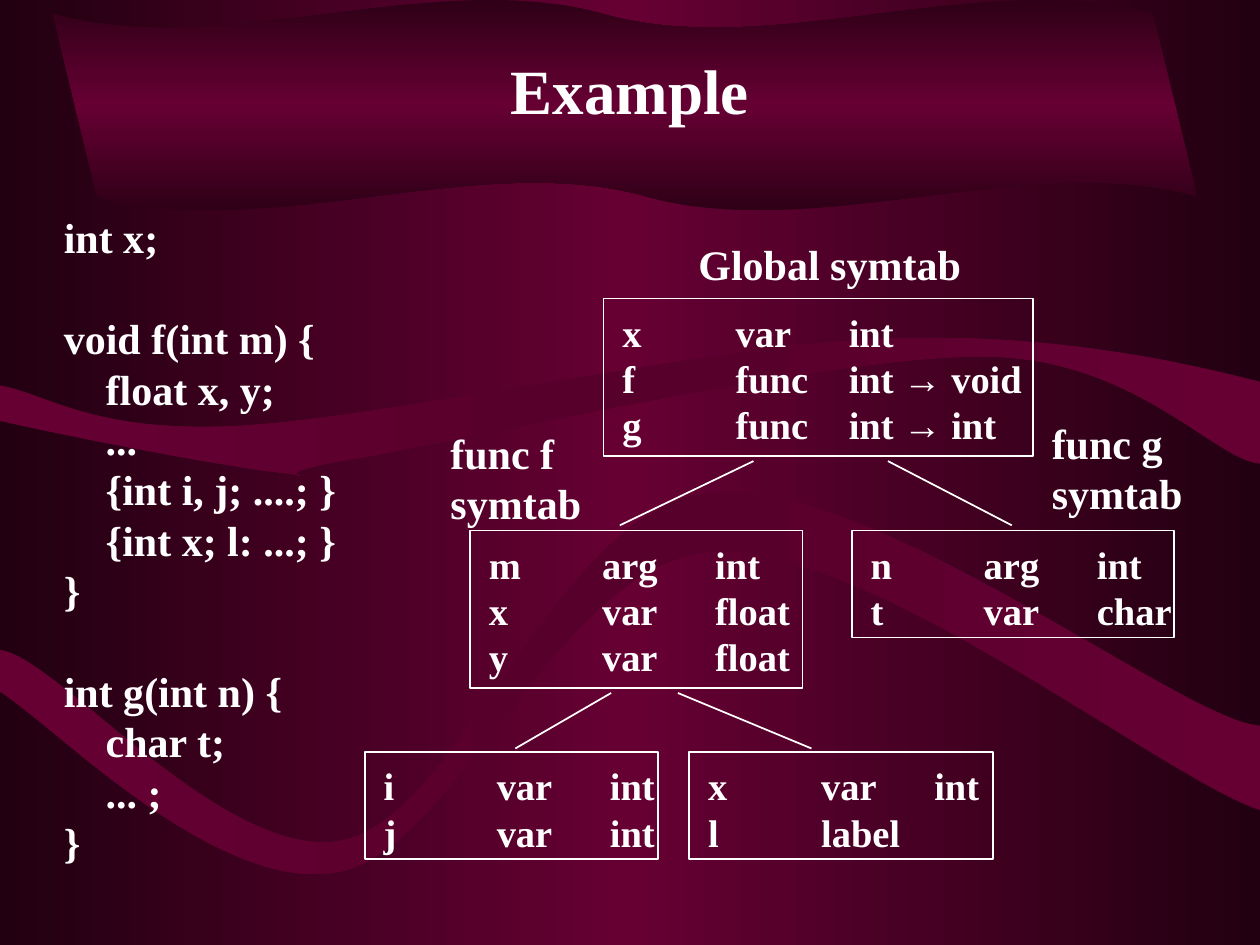
import copy
from dataclasses import dataclass

import pptx
import pptx.dml.color
import pptx.enum.shapes
import pptx.enum.text
import pptx.oxml.ns
import pptx.util

Pt = pptx.util.Pt
WHITE = "FFFFFF"
TAB_STEP = 64.66
Point = tuple[float, float]


@dataclass
class Wave:
    """Outline whose segments are lines (one point) or Bézier curves (three)."""
    bounds: tuple[float, float, float, float]
    start: Point
    segments: list[tuple[Point, ...]]
    edge: str
    middle: str
    angle: int


@dataclass
class SymbolTable:
    left: float
    top: float
    width: float
    text_width: float
    rows: list[str]


@dataclass
class Label:
    left: float
    top: float
    width: float
    lines: list[str]


@dataclass
class Link:
    start: Point
    end: Point


WAVES = [
    Wave((30.2, 0, 684, 120.2), (658.8, 7.9), [
        ((562.3, -19.4), (440.6, 35.3), (344.2, 7.9)),
        ((247.7, -19.4), (126.7, 35.3), (30.2, 7.9)), ((55.4, 112.3),),
        ((151.9, 139.7), (273.6, 85), (369.4, 112.3)),
        ((465.8, 139.7), (587.5, 85), (684, 112.3)),
    ], "2F0017", "660033", 90),
    Wave((0, 189.4, 720, 273.6), (0, 220.3), [
        ((0, 240.5),), ((26.6, 247), (126, 266.4), (159.8, 270)),
        ((193.7, 273.6), (136.8, 272.9), (203, 262.1)),
        ((270, 250.6), (475.2, 203), (561.6, 203.8)),
        ((648, 203.8), (693.4, 262.8), (720, 265)), ((720, 218.2),),
        ((684, 208.8), (601.9, 189.4), (504.7, 193.7)),
        ((407.5, 197.3), (221, 239), (136.8, 243.4)),
        ((52.6, 247.7), (28.8, 225.4), (0, 220.3)),
    ], "660033", "56002B", 0),
    Wave((0, 271.4, 720, 511.9), (0, 371.5), [
        ((0, 395.3),), ((32.4, 416.2), (125.3, 511.9), (193.7, 498.2)),
        ((261.4, 485.3), (319, 321.1), (406.8, 315.4)),
        ((494.6, 308.9), (667.4, 446.4), (720, 463)), ((720, 414.7),),
        ((675.4, 411.8), (497.5, 271.4), (404.6, 281.5)),
        ((317.5, 292.3), (264.2, 465.1), (196.6, 480.2)),
        ((128.9, 494.6), (32.4, 374.4), (0, 371.5)),
    ], "660033", "56002B", 0),
]
CODE_BLOCKS = [
    ["int x;"],
    ["void f(int m) {", "    float x, y;", "    ...",
     "    {int i, j; ....; }", "    {int x; l: ...; }", "}"],
    ["int g(int n) {", "    char t;", "    ... ;", "}"],
]
TABLES = [
    SymbolTable(344.9, 170.6, 245.5, 243,
                ["x\tvar\tint", "f\tfunc\tint → void", "g\tfunc\tint → int"]),
    SymbolTable(268.6, 303.1, 190, 187, ["m\targ\tint", "x\tvar\tfloat", "y\tvar\tfloat"]),
    SymbolTable(486.7, 303.1, 184.3, 187, ["n\targ\tint", "t\tvar\tchar"]),
    SymbolTable(208.4, 429.8, 167.8, 171, ["i\tvar\tint", "j\tvar\tint"]),
    SymbolTable(393.8, 429.8, 173.5, 171, ["x\tvar\tint", "l\tlabel"]),
]
LABELS = [
    Label(392.6, 133.2, 166, ["Global symtab"]),
    Label(250.9, 241.2, 90, ["func f", "symtab"]),
    Label(594.5, 235.4, 90, ["func g", "symtab"]),
]
LINKS = [
    Link((430.6, 263.5), (354.2, 300.2)), Link((507.4, 263.5), (578.2, 300.2)),
    Link((349.2, 396), (294.5, 427.7)), Link((387.4, 396), (463.7, 427.7)),
]


def rgb(value: str) -> pptx.dml.color.RGBColor:
    return pptx.dml.color.RGBColor.from_string(value)


def add_xml(parent, tag: str, **attributes):
    child = parent.makeelement(pptx.oxml.ns.qn(tag), attributes)
    parent.append(child)
    return child


def fill_mirrored(fill, owner, edge: str, middle: str, angle: int) -> None:
    """Gradient running edge, middle, edge; owner is the element that holds it."""
    fill.gradient()
    fill.gradient_angle = angle
    for stop, color, position in zip(fill.gradient_stops, (edge, middle), (0, 0.5)):
        stop.color.rgb = rgb(color)
        stop.position = position
    stops = owner.find(".//" + pptx.oxml.ns.qn("a:gsLst"))
    last = copy.deepcopy(stops[0])
    last.set("pos", "100000")
    stops.append(last)


def draw_wave(slide, wave: Wave) -> None:
    """Size a freeform by its bounds, then give it the curved outline."""
    left, top, right, bottom = map(Pt, wave.bounds)
    builder = slide.shapes.build_freeform(left, top)
    builder.add_line_segments([(right, top), (right, bottom), (left, bottom)])
    shape = builder.convert_to_shape()
    outline = shape._element.find(".//" + pptx.oxml.ns.qn("a:path"))
    for command in list(outline):
        outline.remove(command)
    tags = {1: "a:lnTo", 3: "a:cubicBezTo"}
    steps = [("a:moveTo", (wave.start,))] + [(tags[len(s)], s) for s in wave.segments]
    for tag, points in steps:
        command = add_xml(outline, tag)
        for x, y in points:
            add_xml(command, "a:pt", x=str(Pt(x) - left), y=str(Pt(y) - top))
    add_xml(outline, "a:close")
    shape.shadow.inherit = False
    shape.line.fill.background()
    fill_mirrored(shape.fill, shape._element, wave.edge, wave.middle, wave.angle)


def set_font(font, size: float) -> None:
    font.name, font.size, font.bold = "Times New Roman", Pt(size), True
    font.color.rgb = rgb(WHITE)


def draw_text(slide, left: float, top: float, width: float, blocks: list[list[str]],
              size: float, pitch: float, wrap: bool = False) -> None:
    """Blocks of lines, one line's pitch apart; arrows are set in Arial."""
    count = sum(map(len, blocks)) + len(blocks) - 1
    box = slide.shapes.add_textbox(Pt(left), Pt(top), Pt(width), Pt(count * pitch + 6))
    frame = box.text_frame
    frame.word_wrap = wrap
    frame.auto_size = pptx.enum.text.MSO_AUTO_SIZE.SHAPE_TO_FIT_TEXT
    frame.margin_left = frame.margin_right = Pt(6.5)
    frame.margin_top = frame.margin_bottom = Pt(3)
    lines = [(line, block > 0 and row == 0)
             for block, rows in enumerate(blocks) for row, line in enumerate(rows)]
    for index, (line, opens_block) in enumerate(lines):
        paragraph = frame.add_paragraph() if index else frame.paragraphs[0]
        if "\t" in line:
            tabs = add_xml(paragraph._p.get_or_add_pPr(), "a:tabLst")
            for stop in (1, 2):
                add_xml(tabs, "a:tab", pos=str(Pt(TAB_STEP * stop)), algn="l")
        paragraph.line_spacing = Pt(pitch)
        if opens_block:
            paragraph.space_before = Pt(pitch)
        set_font(paragraph.font, size)
        for part in filter(None, line.partition("→")):
            run = paragraph.add_run()
            run.text = part
            if part == "→":
                run.font.name = "Arial"


def draw_table(slide, table: SymbolTable) -> None:
    draw_text(slide, table.left + 4.3, table.top + 3, table.text_width, [table.rows], 22, 26.3)
    border = slide.shapes.add_shape(
        pptx.enum.shapes.MSO_SHAPE.RECTANGLE, Pt(table.left), Pt(table.top),
        Pt(table.width), Pt(28.8 * len(table.rows) + 3.6))
    border.shadow.inherit = False
    border.fill.background()
    border.line.color.rgb, border.line.width = rgb(WHITE), Pt(1)


def draw_link(slide, link: Link) -> None:
    branch = slide.shapes.add_connector(pptx.enum.shapes.MSO_CONNECTOR.STRAIGHT,
                                        *map(Pt, link.start + link.end))
    branch.line.color.rgb, branch.line.width = rgb(WHITE), Pt(1)
    add_xml(branch._element.spPr, "a:effectLst")


def main() -> None:
    deck = pptx.Presentation()
    deck.slide_width, deck.slide_height = Pt(720), Pt(540)
    slide = deck.slides.add_slide(deck.slide_layouts[5])
    fill_mirrored(slide.background.fill, slide._element, "220011", "660033", 0)
    for wave in WAVES:
        draw_wave(slide, wave)
    title = slide.shapes.title
    slide.shapes._spTree.append(title._element)
    title.left, title.top, title.width, title.height = map(Pt, (54, 6, 612, 90))
    title.text_frame.text = "Example"
    title.text_frame.vertical_anchor = pptx.enum.text.MSO_ANCHOR.MIDDLE
    set_font(title.text_frame.paragraphs[0].font, 36)
    draw_text(slide, 30, 118.1, 186, CODE_BLOCKS, 24, 28.8, wrap=True)
    for table in TABLES:
        draw_table(slide, table)
    for link in LINKS:
        draw_link(slide, link)
    for label in LABELS:
        draw_text(slide, label.left, label.top, label.width, [label.lines], 24, 28.8)
    deck.save("out.pptx")


if __name__ == "__main__":
    main()
